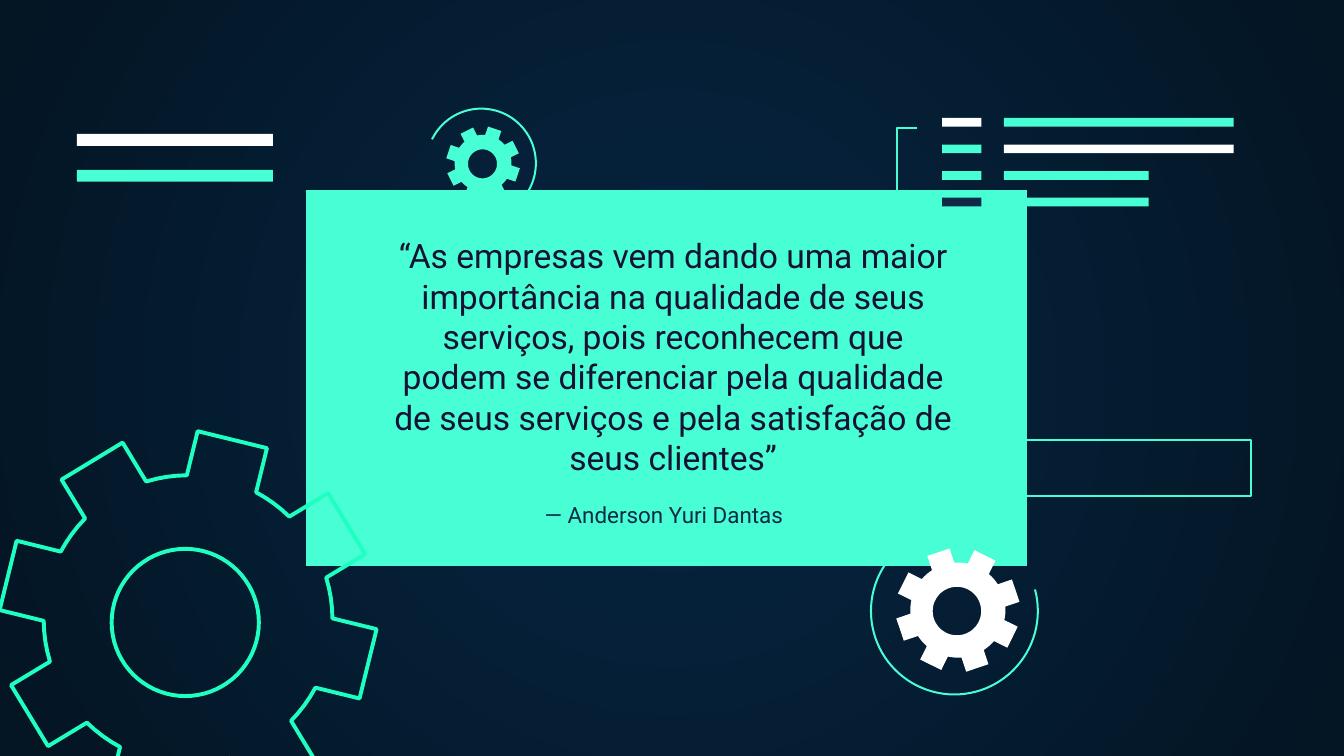
import math
from typing import NamedTuple, Optional

import lxml.etree
import pptx
import pptx.dml.color
import pptx.enum.shapes
import pptx.enum.text
import pptx.oxml.ns
import pptx.util

Pt = pptx.util.Pt
RGB = pptx.dml.color.RGBColor
Kind = pptx.enum.shapes.MSO_SHAPE
Align = pptx.enum.text.PP_ALIGN
Anchor = pptx.enum.text.MSO_ANCHOR
qn = pptx.oxml.ns.qn

MINT = RGB(0x48, 0xFF, 0xD5)
GREEN = RGB(0x1E, 0xFF, 0xC1)
WHITE = RGB(0xFF, 0xFF, 0xFF)
NAVY = RGB(0x0E, 0x2A, 0x47)
INK = RGB(0x16, 0x12, 0x34)
GLOW = RGB(0x05, 0x26, 0x43)
NIGHT = RGB(0x04, 0x15, 0x23)

TEETH = 8
ROOT, HOLE = 0.765, 0.39  # radii as shares of the tip radius
TIP_HALF, ROOT_HALF = 10.9, 14.3  # half tooth angles, in degrees
THIN = 1.09


class Box(NamedTuple):
    x: float
    y: float
    w: float
    h: float
    fill: Optional[RGB] = None
    line: Optional[RGB] = None


class Arc(NamedTuple):
    x: float
    y: float
    r: float
    start: float
    end: float


class Gear(NamedTuple):
    x: float
    y: float
    r: float
    tilt: float
    fill: Optional[RGB] = None
    line: Optional[RGB] = None


CARD = Box(164, 101.8, 386.2, 201.4, MINT)
ARCS = [Arc(257.8, 87.5, 29.3, 206, 95.6), Arc(511.3, 327.4, 44.7, 345, 233.5)]
GEARS = [
    Gear(100.8, 332, 101.1, 13.8, line=GREEN),
    Gear(513.2, 326.9, 33.3, 26.4, fill=WHITE),
    Gear(258.8, 87.5, 19.9, 18.6, fill=MINT),
]
# Each row of the list: short bar colour, long bar colour, long bar width
ROWS = [
    (WHITE, MINT, 123.2),
    (MINT, WHITE, 123.2),
    (MINT, MINT, 77.6),
    (NAVY, MINT, 77.6),
]
BARS = [Box(41.2, 71.8 + 19.2 * i, 105, 6.4, hue) for i, hue in enumerate((WHITE, MINT))]
for i, (short, long, wide) in enumerate(ROWS):
    top = 63.2 + 14.25 * i
    BARS += [Box(504.7, top, 21, 4.7, short), Box(537.8, top, wide, 4.7, long)]
FRAME = Box(518.4, 235.8, 151.8, 30, line=MINT)
BRACKET = [(491.6, 112), (480.5, 112), (480.5, 68.5), (491.2, 68.5)]


def style(shape, fill: Optional[RGB], line: Optional[RGB], width: float = THIN) -> None:
    shape.shadow.inherit = False
    if fill is None:
        shape.fill.background()
    else:
        shape.fill.solid()
        shape.fill.fore_color.rgb = fill
    if line is None:
        shape.line.fill.background()
    else:
        shape.line.color.rgb = line
        shape.line.width = Pt(width)


def draw_box(shapes, box: Box) -> None:
    shape = shapes.add_shape(Kind.RECTANGLE, Pt(box.x), Pt(box.y), Pt(box.w), Pt(box.h))
    style(shape, box.fill, box.line)


def draw_arc(shapes, arc: Arc) -> None:
    shape = shapes.add_shape(
        Kind.ARC, Pt(arc.x - arc.r), Pt(arc.y - arc.r), Pt(2 * arc.r), Pt(2 * arc.r)
    )
    # Angles are stored in 1/60000 degree, adjustments in 1/100000
    shape.adjustments[0] = arc.start * 0.6
    shape.adjustments[1] = arc.end * 0.6
    style(shape, None, MINT)


def draw_path(shapes, rings: list, close: bool = True):
    """Add one freeform made of one or more rings of points."""
    rings = [[(Pt(x), Pt(y)) for x, y in ring] for ring in rings]
    pen = shapes.build_freeform(*rings[0][0])
    pen.add_line_segments(rings[0][1:], close=close)
    for ring in rings[1:]:
        pen.move_to(*ring[0])
        pen.add_line_segments(ring[1:], close=close)
    return pen.convert_to_shape()


def polar(x: float, y: float, r: float, deg: float) -> tuple[float, float]:
    turn = math.radians(deg)
    return x + r * math.cos(turn), y + r * math.sin(turn)


def draw_gear(shapes, gear: Gear) -> None:
    step = 360 / TEETH
    gap = step - 2 * ROOT_HALF
    rim = []
    for tooth in range(TEETH):
        mid = gear.tilt + tooth * step
        rim += [polar(gear.x, gear.y, gear.r, mid + a) for a in (-TIP_HALF, TIP_HALF)]
        rim += [
            polar(gear.x, gear.y, gear.r * ROOT, mid + ROOT_HALF + gap * i / 4)
            for i in range(5)
        ]
    shift = 0.015 * gear.r
    hole = [
        polar(gear.x - shift, gear.y + shift, gear.r * HOLE, -deg)
        for deg in range(0, 360, 5)
    ]
    style(draw_path(shapes, [rim, hole]), gear.fill, gear.line, 2.1)


def put_text(shape, text: str, *, size: float, color: RGB, anchor=Anchor.TOP,
             font: str = "Roboto", align=Align.CENTER) -> None:
    frame = shape.text_frame
    frame.word_wrap = True
    frame.auto_size = pptx.enum.text.MSO_AUTO_SIZE.NONE
    frame.vertical_anchor = anchor
    frame.margin_left = frame.margin_right = Pt(7.2)
    frame.margin_top = frame.margin_bottom = Pt(7.2)
    para = frame.paragraphs[0]
    para.alignment = align
    run = para.add_run()
    run.text = text
    run.font.name = font
    run.font.size = Pt(size)
    run.font.color.rgb = color


def paint_back(slide) -> None:
    """Fill the background with a glow that darkens outward."""
    fill = slide.background.fill
    fill.gradient()
    for stop, hue, at in zip(fill.gradient_stops, (GLOW, NIGHT), (0, 1)):
        stop.color.rgb = hue
        stop.position = at
    grad = slide.element.find(".//" + qn("a:gradFill"))
    grad.remove(grad.find(qn("a:lin")))
    ring = lxml.etree.SubElement(grad, qn("a:path"), {"path": "circle"})
    sides = dict.fromkeys("ltrb", "50000")
    lxml.etree.SubElement(ring, qn("a:fillToRect"), sides)


def main() -> None:
    deck = pptx.Presentation()
    deck.slide_width, deck.slide_height = Pt(720), Pt(405)
    slide = deck.slides.add_slide(deck.slide_layouts[5])
    shapes = slide.shapes
    paint_back(slide)

    draw_box(shapes, CARD)
    for arc in ARCS:
        draw_arc(shapes, arc)
    for gear in GEARS:
        draw_gear(shapes, gear)
    for bar in BARS:
        draw_box(shapes, bar)
    style(draw_path(shapes, [BRACKET], close=False), None, MINT)
    draw_box(shapes, FRAME)

    title = shapes.title
    title.left, title.top, title.width, title.height = Pt(216.7), Pt(137.5), Pt(278), Pt(152.6)
    put_text(title, "— Anderson Yuri Dantas", size=12, color=NAVY, anchor=Anchor.BOTTOM)
    shapes.element.append(title.element)  # bring in front of the card

    quote = shapes.add_textbox(Pt(202.3), Pt(118.8), Pt(316.8), Pt(111.6))
    put_text(
        quote,
        "“As empresas vem dando uma maior importância na qualidade de seus "
        "serviços, pois reconhecem que podem se diferenciar pela qualidade "
        "de seus serviços e pela satisfação de seus clientes”",
        size=18,
        color=INK,
    )
    deck.save("out.pptx")


if __name__ == "__main__":
    main()
